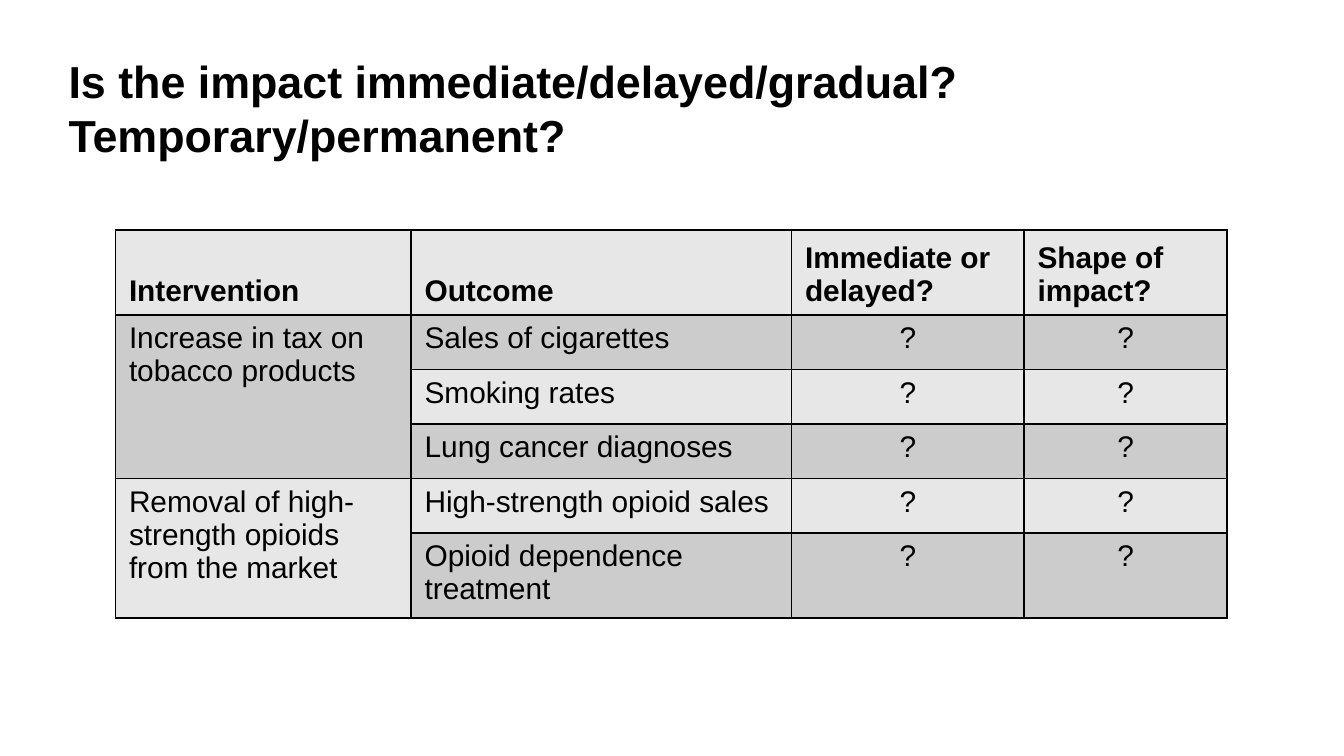
from dataclasses import dataclass

from lxml import etree
from pptx import Presentation
from pptx.dml.color import RGBColor
from pptx.enum.text import MSO_ANCHOR, MSO_AUTO_SIZE, PP_ALIGN
from pptx.oxml.ns import qn
from pptx.table import _Cell
from pptx.text.text import TextFrame
from pptx.util import Inches, Pt

LEFT, CENTER = PP_ALIGN.LEFT, PP_ALIGN.CENTER
TOP, BOTTOM = MSO_ANCHOR.TOP, MSO_ANCHOR.BOTTOM
FIT_SHAPE = MSO_AUTO_SIZE.SHAPE_TO_FIT_TEXT

COLORS = {"ink": "000000", "light": "E7E7E7", "dark": "CCCCCC"}
FONT = "Arial"
COLUMN_WIDTHS = [2.2, 2.83, 1.73, 1.51]
ROW_HEIGHT = Pt(29.2)


@dataclass
class Intervention:
    label: str
    outcomes: list[str]


HEADINGS = ["Intervention", "Outcome", "Immediate or delayed?", "Shape of impact?"]
INTERVENTIONS = [
    Intervention(
        "Increase in tax on tobacco products",
        ["Sales of cigarettes", "Smoking rates", "Lung cancer diagnoses"],
    ),
    Intervention(
        "Removal of high-strength opioids from the market",
        ["High-strength opioid sales", "Opioid dependence treatment"],
    ),
]


def write_text(frame: TextFrame, text: str, size: float, bold: bool, align: PP_ALIGN) -> None:
    frame.text = text
    paragraph = frame.paragraphs[0]
    paragraph.alignment = align
    for run in paragraph.runs:
        run.font.name = FONT
        run.font.size = Pt(size)
        run.font.bold = bold
        run.font.color.rgb = RGBColor.from_string(COLORS["ink"])


def add_borders(cell: _Cell) -> None:
    properties = cell._tc.get_or_add_tcPr()
    for side in ("a:lnL", "a:lnR", "a:lnT", "a:lnB"):
        line = etree.SubElement(properties, qn(side), w=str(Pt(1)))
        fill = etree.SubElement(line, qn("a:solidFill"))
        etree.SubElement(fill, qn("a:srgbClr"), val=COLORS["ink"])


def format_cell(cell: _Cell, text: str, row: int, column: int) -> None:
    is_heading = row == 0
    add_borders(cell)
    cell.fill.solid()
    cell.fill.fore_color.rgb = RGBColor.from_string(COLORS["dark" if row % 2 else "light"])
    cell.vertical_anchor = BOTTOM if is_heading else TOP
    align = CENTER if column > 1 and not is_heading else LEFT
    write_text(cell.text_frame, text, 16, is_heading, align)


def main() -> None:
    prs = Presentation()
    prs.slide_width = Inches(10)
    prs.slide_height = prs.slide_width * 9 // 16
    slide = prs.slides.add_slide(prs.slide_layouts[5])

    title = slide.shapes.title
    title.left, title.top = Inches(0.51), Inches(0.4)
    title.width, title.height = Inches(9), Inches(0.81)
    frame = title.text_frame
    frame.margin_left = frame.margin_right = frame.margin_top = frame.margin_bottom = 0
    frame.word_wrap = True
    frame.auto_size = FIT_SHAPE
    frame.vertical_anchor = TOP
    write_text(frame, "Is the impact immediate/delayed/gradual? Temporary/permanent?", 24, True, LEFT)

    rows = [HEADINGS]
    spans = []
    for intervention in INTERVENTIONS:
        spans.append((len(rows), len(rows) + len(intervention.outcomes) - 1))
        for index, outcome in enumerate(intervention.outcomes):
            rows.append([intervention.label if index == 0 else "", outcome, "?", "?"])

    table_frame = slide.shapes.add_table(
        len(rows), len(HEADINGS), Inches(0.86), Inches(1.71), Inches(8.29), Inches(2.89)
    )
    impacts = table_frame.table
    for column, width in zip(impacts.columns, COLUMN_WIDTHS):
        column.width = Inches(width)
    for row in impacts.rows:
        row.height = ROW_HEIGHT
    table_frame.width, table_frame.height = Inches(8.29), Inches(2.89)
    for r, texts in enumerate(rows):
        for c, text in enumerate(texts):
            format_cell(impacts.cell(r, c), text, r, c)
    for first, last in spans:
        impacts.cell(first, 0).merge(impacts.cell(last, 0))

    prs.save("out.pptx")


if __name__ == "__main__":
    main()
